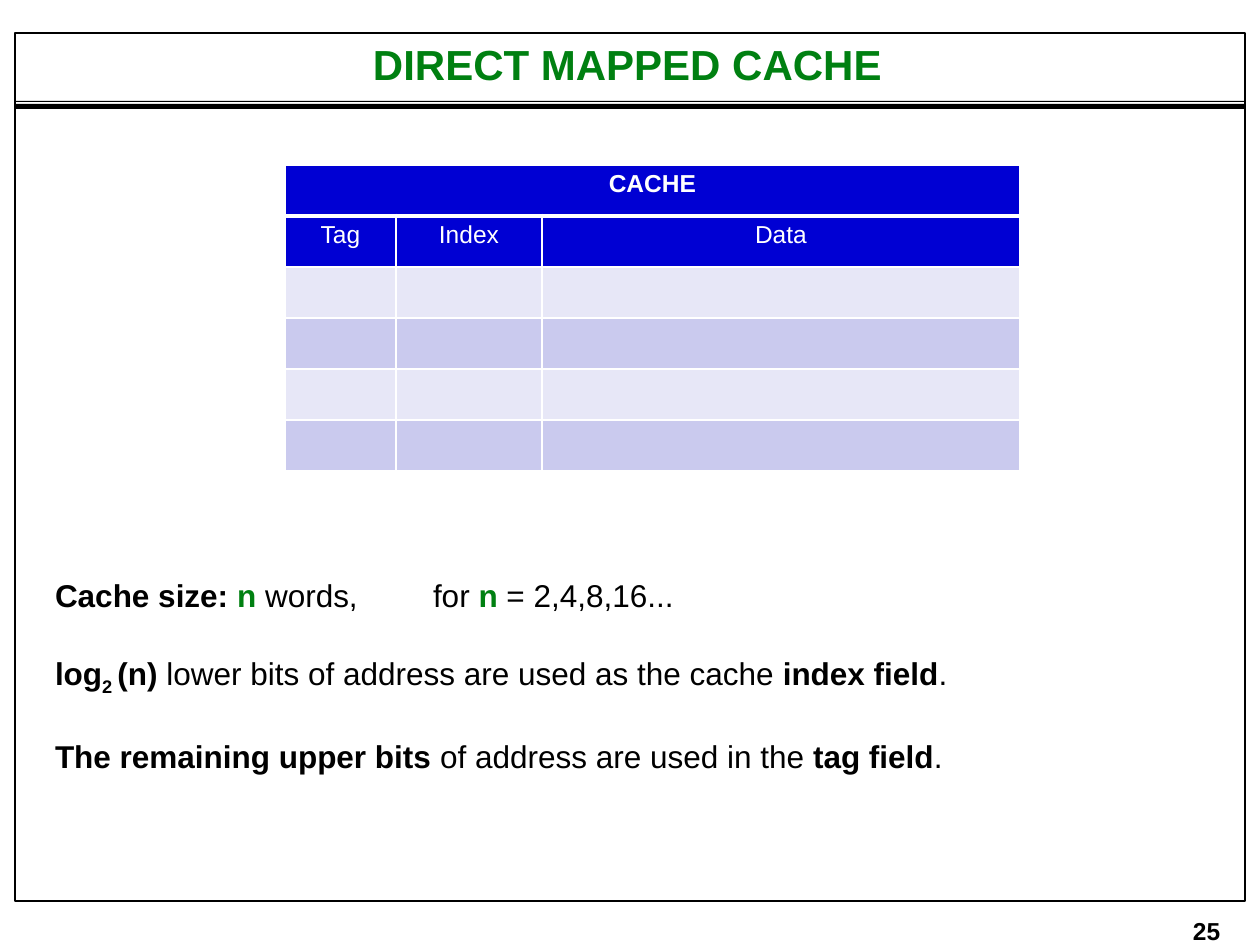
from lxml import etree
from pptx import Presentation
from pptx.dml.color import RGBColor
from pptx.enum.shapes import MSO_SHAPE
from pptx.enum.text import MSO_ANCHOR, MSO_AUTO_SIZE, PP_ALIGN
from pptx.oxml.ns import qn
from pptx.util import Pt

LEFT, MID = PP_ALIGN.LEFT, PP_ALIGN.CENTER
TOP, FIXED = MSO_ANCHOR.TOP, MSO_AUTO_SIZE.NONE
RECT = MSO_SHAPE.RECTANGLE
SCALE = 914400 / 126
COLOR = {"ink": "000000", "green": "008011", "white": "FFFFFF",
         "head": "0000D3", "pale": "E7E7F7", "dark": "CACAEE"}

# Content: runs are (text, style), b = bold, g = green, s = subscript
TITLE = "DIRECT MAPPED CACHE"
PAGE = "25"
NOTES = [
    [("Cache size: ", "b"), ("n ", "bg"), ("words,\tfor ", ""),
     ("n ", "bg"), ("= 2,4,8,16...", "")],
    [("log", "b"), ("2 ", "bs"), ("(n) ", "b"),
     ("lower bits of address are used as the cache ", ""),
     ("index field", "b"), (".", "")],
    [("The remaining upper bits ", "b"), ("of address are used in the ", ""),
     ("tag field", "b"), (".", "")],
]
ROWS = [["CACHE", "", ""], ["Tag", "Index", "Data"]] + [["", "", ""]] * 4
FILLS = ["head", "head", "pale", "dark", "pale", "dark"]
COLS = [111, 146, 478]
ROW = 51
BARS = [(101, 102), (104, 109)]


def px(n):
    return round(n * SCALE)


def rgb(name):
    return RGBColor.from_string(COLOR[name])


def write(frame, paras, size=18, color="ink", align=LEFT, gap=0,
          line=None, tab=None, pad=(0, 1)):
    frame.word_wrap = True
    frame.auto_size = FIXED
    frame.vertical_anchor = TOP
    frame.margin_left, frame.margin_top = px(pad[0]), px(pad[1])
    frame.margin_right = frame.margin_bottom = 0
    for i, runs in enumerate(paras):
        para = frame.add_paragraph() if i else frame.paragraphs[0]
        if tab and any("\t" in text for text, style in runs):
            tabs = etree.SubElement(para._p.get_or_add_pPr(), qn("a:tabLst"))
            etree.SubElement(tabs, qn("a:tab"), pos=str(px(tab)), algn="l")
        para.alignment = align
        para.space_before = Pt(gap if i else 0)
        if line:
            para.line_spacing = line
        for text, style in runs:
            run = para.add_run()
            run.text = text
            font = run.font
            font.name, font.size, font.bold = "Arial", Pt(size), "b" in style
            font.color.rgb = rgb("green" if "g" in style else color)
            if "s" in style:
                font._element.set("baseline", "-25000")


def edge(cell, side, width):
    ln = etree.SubElement(cell._tc.get_or_add_tcPr(), qn("a:ln" + side),
                          w=str(Pt(width)))
    fill = etree.SubElement(ln, qn("a:solidFill"))
    etree.SubElement(fill, qn("a:srgbClr"), val=COLOR["white"])


deck = Presentation()
deck.slide_width, deck.slide_height = px(1260), px(945)
slide = deck.slides.add_slide(deck.slide_layouts[5])
shapes = slide.shapes

# Frame and double rule
box = shapes.add_shape(RECT, px(15), px(33), px(1230), px(868))
box.shadow.inherit = False
box.fill.background()
box.line.color.rgb = rgb("ink")
box.line.width = Pt(0.75)

pen = shapes.build_freeform(15, BARS[0][0], scale=SCALE)
for i, (top, low) in enumerate(BARS):
    if i:
        pen.move_to(15, top)
    pen.add_line_segments([(1244, top), (1244, low), (15, low)], close=True)
rule = pen.convert_to_shape()
rule.shadow.inherit = False
rule.fill.solid()
rule.fill.fore_color.rgb = rgb("ink")
rule.line.fill.background()

# Title
head = shapes.title
head.left, head.top, head.width, head.height = map(px, (358, 37, 544, 54))
write(head.text_frame, [[(TITLE, "bg")]], size=24, pad=(15, 1))

# Cache table
grid = shapes.add_table(len(ROWS), len(COLS), px(285), px(165),
                        px(sum(COLS)), px(ROW * len(ROWS))).table
for col, wide in zip(grid.columns, COLS):
    col.width = px(wide)
for r, row in enumerate(ROWS):
    grid.rows[r].height = px(ROW)
    for c, text in enumerate(row):
        cell = grid.cell(r, c)
        for side in "LRTB":
            thick = (r, side) in [(0, "B"), (1, "T")]
            edge(cell, side, 3 if thick else 1)
        cell.fill.solid()
        cell.fill.fore_color.rgb = rgb(FILLS[r])
        cell.margin_left = cell.margin_right = cell.margin_bottom = 0
        cell.margin_top = px(5)
        para = cell.text_frame.paragraphs[0]
        para.alignment = MID
        para.font.size = Pt(14)
        if text:
            run = para.add_run()
            run.text = text
            run.font.name, run.font.size = "Arial", Pt(14)
            run.font.bold = r == 0
            run.font.color.rgb = rgb("white")
grid.cell(0, 0).merge(grid.cell(0, len(COLS) - 1))

# Notes and page number
note = shapes.add_textbox(px(55), px(575), px(1113), px(197))
write(note.text_frame, NOTES, gap=23, tab=378)
page = shapes.add_textbox(px(1188), px(911), px(36), px(31))
write(page.text_frame, [[(PAGE, "b")]], size=14, line=1.18, pad=(5, 0))

deck.save("out.pptx")
